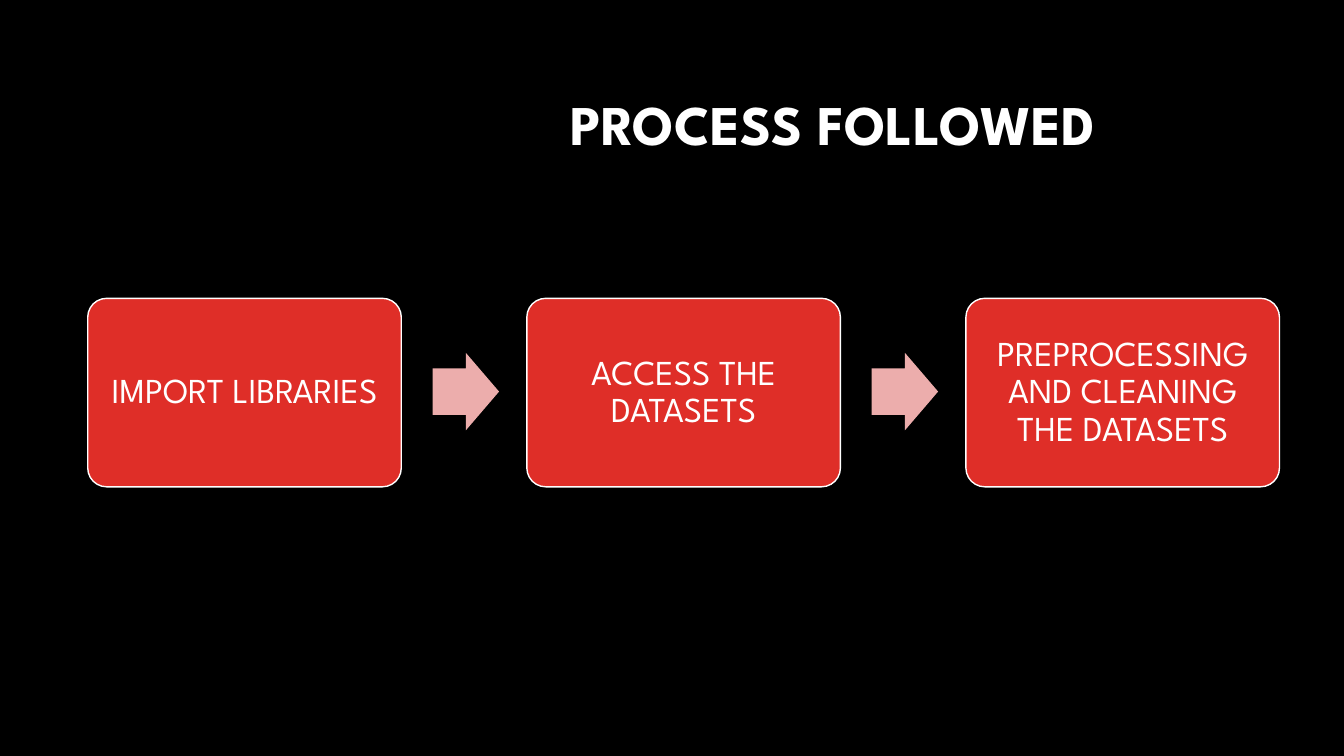
from pptx import Presentation
from pptx import util as u
from pptx.dml.color import RGBColor
from pptx.enum import shapes, text

FONT = "League Spartan"
WHITE, RED, PINK, BLACK = "FFFFFF", "DF2E28", "ECADAC", "000000"


def paint(fill, color):
    fill.solid()
    fill.fore_color.rgb = RGBColor.from_string(color)


def write(frame, wording, size, align, bold=False):
    frame.word_wrap = True
    frame.vertical_anchor = text.MSO_ANCHOR.MIDDLE
    paragraph = frame.paragraphs[0]
    paragraph.alignment = align
    paragraph.line_spacing = 0.9
    run = paragraph.add_run()
    run.text = wording
    run.font.name = FONT
    run.font.size = u.Pt(size)
    run.font.bold = bold
    paint(run.font.fill, WHITE)


deck = Presentation()
deck.slide_width, deck.slide_height = u.Inches(13.33), u.Inches(7.5)
slide = deck.slides.add_slide(deck.slide_layouts[5])
paint(slide.background.fill, BLACK)

# Title
title = slide.shapes.title
title.left, title.top = u.Inches(1.54), u.Inches(0.84)
title.width, title.height = u.Inches(9.42), u.Inches(0.85)
write(title.text_frame, "PROCESS FOLLOWED", 40, text.PP_ALIGN.RIGHT, bold=True)

# Process steps, each followed by an arrow except the last
steps = ["IMPORT LIBRARIES", "ACCESS THE DATASETS",
         "PREPROCESSING AND CLEANING THE DATASETS"]
first_left, pitch = 0.87, 4.355
step_width, arrow_gap = 3.11, 0.31

for i, wording in enumerate(steps):
    left = first_left + i * pitch
    step = slide.shapes.add_shape(
        shapes.MSO_SHAPE.ROUNDED_RECTANGLE,
        u.Inches(left), u.Inches(2.96), u.Inches(step_width), u.Inches(1.87))
    step.adjustments[0] = 0.1
    step.shadow.inherit = False
    paint(step.fill, RED)
    paint(step.line.fill, WHITE)
    step.line.width = u.Pt(1)
    frame = step.text_frame
    frame.margin_left = frame.margin_right = u.Inches(0.11)
    frame.margin_top = frame.margin_bottom = u.Inches(0.11)
    write(frame, wording, 25, text.PP_ALIGN.CENTER)

    if i < len(steps) - 1:
        arrow = slide.shapes.add_shape(
            shapes.MSO_SHAPE.RIGHT_ARROW,
            u.Inches(left + step_width + arrow_gap), u.Inches(3.5),
            u.Inches(0.66), u.Inches(0.77))
        arrow.adjustments[0] = 0.6
        arrow.adjustments[1] = 0.5
        arrow.shadow.inherit = False
        paint(arrow.fill, PINK)
        arrow.line.fill.background()

deck.save("out.pptx")
